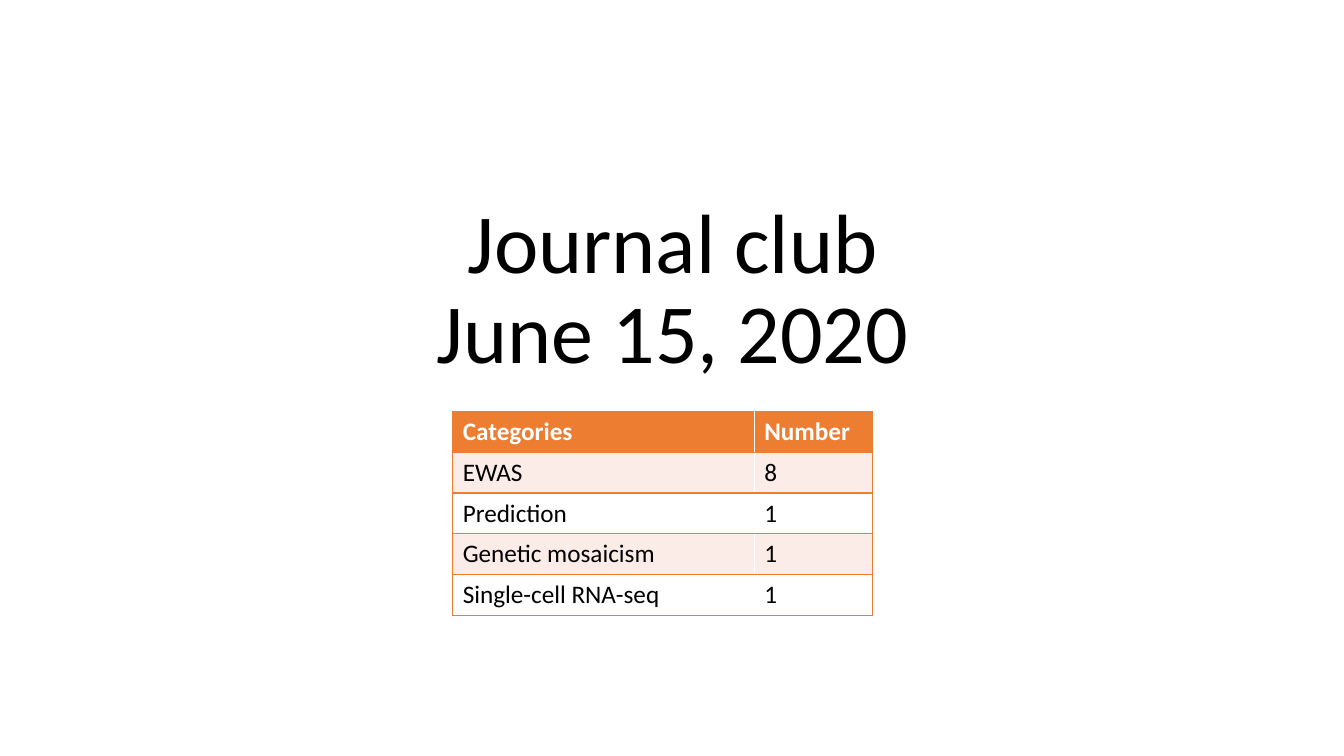
from lxml import etree
from pptx import Presentation
from pptx.dml.color import RGBColor
from pptx.enum.text import MSO_ANCHOR, PP_ALIGN
from pptx.oxml.ns import qn
from pptx.util import Inches, Pt

BOTTOM = MSO_ANCHOR.BOTTOM
CENTER = PP_ALIGN.CENTER

TITLE = "Journal club\vJune 15, 2020"
ROWS = [
    ("Categories", "Number"),
    ("EWAS", "8"),
    ("Prediction", "1"),
    ("Genetic mosaicism", "1"),
    ("Single-cell RNA-seq", "1"),
]
COLUMN_WIDTHS = (2.99, 1.17)
ROW_HEIGHT = 0.4
ORANGE, PALE, WHITE, BLACK = "ED7D31", "FCECE8", "FFFFFF", "000000"


def color(hex_string):
    return RGBColor.from_string(hex_string)


def format_font(font, **values):
    values = {"name": "Calibri", **values}
    font.color.rgb = color(values.pop("ink"))
    for name, value in values.items():
        setattr(font, name, value)


def add_borders(cell, sides):
    """Draw orange lines on the given sides, placed ahead of the cell fill."""
    properties = cell._tc.get_or_add_tcPr()
    for position, side in enumerate(sides):
        line = etree.Element(qn(f"a:ln{side}"), w=str(Pt(1)))
        fill = etree.SubElement(line, qn("a:solidFill"))
        etree.SubElement(fill, qn("a:srgbClr"), val=ORANGE)
        properties.insert(position, line)


def add_title(slide):
    title = slide.shapes.title
    title.left, title.top = Inches(1.67), Inches(1.23)
    title.width, title.height = Inches(10), Inches(2.61)
    title.text_frame.vertical_anchor = BOTTOM
    paragraph = title.text_frame.paragraphs[0]
    paragraph.text = TITLE
    paragraph.alignment = CENTER
    paragraph.line_spacing = 0.9
    for run in paragraph.runs:
        format_font(run.font, size=Pt(60), ink=BLACK)


def add_category_table(slide):
    table = slide.shapes.add_table(
        len(ROWS), len(COLUMN_WIDTHS), Inches(4.49), Inches(4.08),
        Inches(sum(COLUMN_WIDTHS)), Inches(ROW_HEIGHT * len(ROWS))).table
    for column, width in zip(table.columns, COLUMN_WIDTHS):
        column.width = Inches(width)
    for row_index, row in enumerate(ROWS):
        header = row_index == 0
        background = ORANGE if header else PALE if row_index % 2 else WHITE
        for column_index, text in enumerate(row):
            cell = table.cell(row_index, column_index)
            cell.text = text
            cell.fill.solid()
            cell.fill.fore_color.rgb = color(background)
            format_font(cell.text_frame.paragraphs[0].runs[0].font,
                        size=Pt(18), bold=header,
                        ink=WHITE if header else BLACK)
            add_borders(cell, "LTB" if column_index == 0 else "RTB")


def main():
    presentation = Presentation()
    presentation.slide_width = Inches(13.33)
    presentation.slide_height = Inches(7.5)
    slide = presentation.slides.add_slide(presentation.slide_layouts[5])
    add_title(slide)
    add_category_table(slide)
    presentation.save("out.pptx")


if __name__ == "__main__":
    main()
